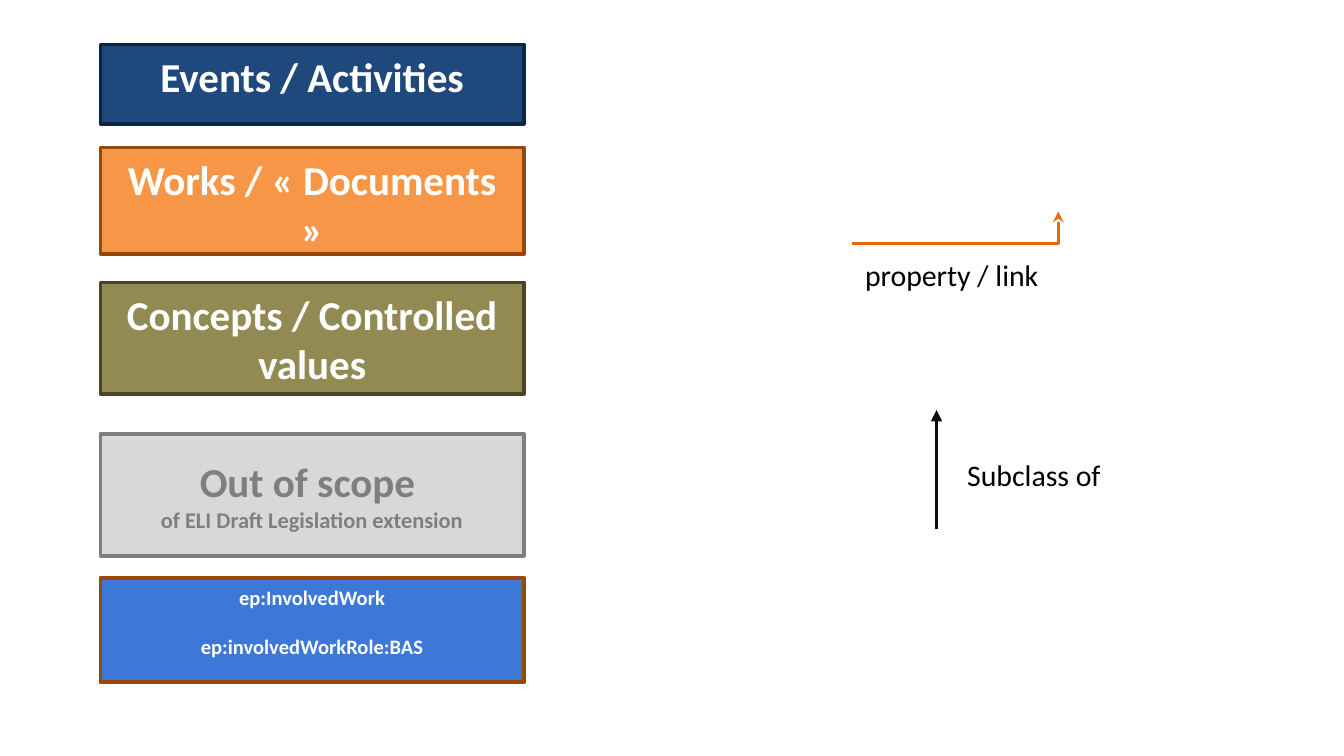
from lxml import etree
from pptx import Presentation
from pptx import util as u
from pptx.dml.color import RGBColor
from pptx.enum import shapes, text
from pptx.oxml.ns import qn

FONT = "Calibri"
BOX_LEFT, BOX_WIDTH = 1.9, 8.0
LABEL_WIDTH, LABEL_HEIGHT = 6.5, 0.71
TOP, MIDDLE = text.MSO_ANCHOR.TOP, text.MSO_ANCHOR.MIDDLE

# Legend boxes: top, height (cm), fill, border, text colour, anchor,
# paragraphs as (wording, size, space before in points)
BOXES = [
    (0.84, 1.5, "1F497D", "0F243E", "FFFFFF", TOP,
     [("Events / Activities", 22, 0)]),
    (2.79, 2.01, "F79646", "974806", "FFFFFF", TOP,
     [("Works / « Documents »", 22, 0)]),
    (5.34, 2.11, "938953", "494429", "FFFFFF", TOP,
     [("Concepts / Controlled values", 22, 0)]),
    (8.2, 2.31, "D8D8D8", "7F7F7F", "7F7F7F", MIDDLE,
     [("Out of scope ", 22, 0), ("of ELI Draft Legislation extension", 12, 0)]),
    (10.92, 1.98, "3C78D8", "974806", "FFFFFF", TOP,
     [("ep:InvolvedWork", 11, 0), ("ep:involvedWorkRole:BAS", 11, 13.4)]),
]

# Arrow labels: left, top (cm), wording
LABELS = [
    (16.1, 4.72, "property / link"),
    (18.03, 8.51, "Subclass of"),
]


def color(hex_string):
    return RGBColor.from_string(hex_string)


def write(shape, paragraphs, ink, bold, alignment, anchor):
    frame = shape.text_frame
    frame.word_wrap = True
    frame.vertical_anchor = anchor
    frame.margin_left = frame.margin_right = u.Cm(0.25)
    frame.margin_top = frame.margin_bottom = u.Cm(0.13)
    for index, (wording, size, space) in enumerate(paragraphs):
        paragraph = frame.add_paragraph() if index else frame.paragraphs[0]
        paragraph.alignment = alignment
        paragraph.space_before = u.Pt(space)
        run = paragraph.add_run()
        run.text = wording
        run.font.name, run.font.size, run.font.bold = FONT, u.Pt(size), bold
        run.font.color.rgb = color(ink)


def add_arrow(slide, kind, begin, end, ink, width, head):
    points = [u.Cm(value) for value in (*begin, *end)]
    arrow = slide.shapes.add_connector(kind, *points)
    arrow.line.color.rgb = color(ink)
    arrow.line.width = u.Pt(width)
    line = arrow.line._get_or_add_ln()
    etree.SubElement(line, qn("a:tailEnd"), type=head)
    etree.SubElement(arrow._element.spPr, qn("a:effectLst"))
    return arrow


presentation = Presentation()
presentation.slide_width, presentation.slide_height = u.Cm(25.4), u.Cm(14.29)
slide = presentation.slides.add_slide(presentation.slide_layouts[6])

# Legend boxes
for top, height, fill, border, ink, anchor, paragraphs in BOXES:
    box = slide.shapes.add_shape(
        shapes.MSO_SHAPE.RECTANGLE,
        u.Cm(BOX_LEFT), u.Cm(top), u.Cm(BOX_WIDTH), u.Cm(height))
    box.shadow.inherit = False
    box.fill.solid()
    box.fill.fore_color.rgb = color(fill)
    box.line.color.rgb = color(border)
    box.line.width = u.Pt(2)
    write(box, paragraphs, ink, True, text.PP_ALIGN.CENTER, anchor)

# Property arrow: one bend, turned half round so that it ends at the upper right
link = add_arrow(slide, shapes.MSO_CONNECTOR.ELBOW, (20, 4), (16.1, 4.6),
                 "E36C09", 1.5, "stealth")
properties = link._element.spPr
properties.find(qn("a:prstGeom")).set("prst", "bentConnector2")
properties.find(qn("a:xfrm")).set("rot", str(180 * 60000))

# Subclass arrow
add_arrow(slide, shapes.MSO_CONNECTOR.STRAIGHT, (17.7, 10), (17.7, 7.75),
          "0C0C0C", 2, "triangle")

# Arrow labels
for left, top, wording in LABELS:
    label = slide.shapes.add_textbox(
        u.Cm(left), u.Cm(top), u.Cm(LABEL_WIDTH), u.Cm(LABEL_HEIGHT))
    write(label, [(wording, 16, 0)], "000000", False, text.PP_ALIGN.LEFT, TOP)

presentation.save("out.pptx")
